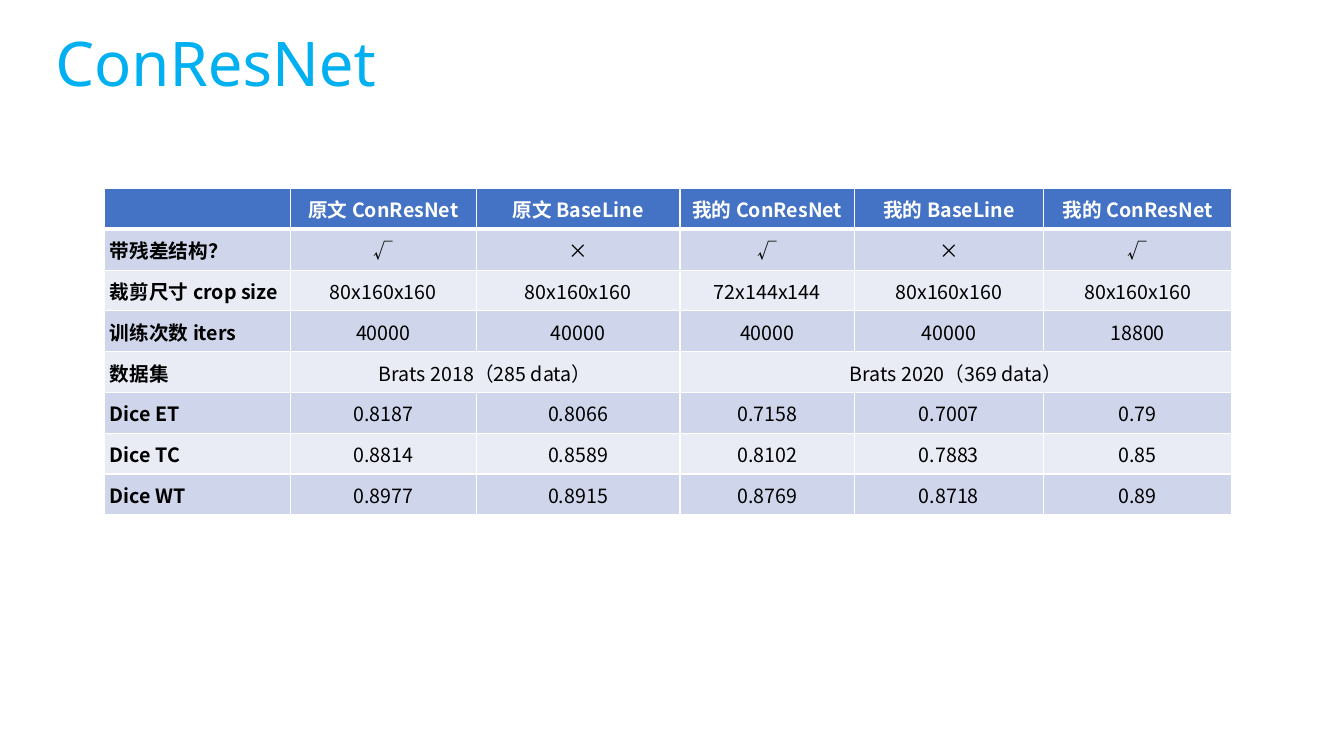
from dataclasses import dataclass

from lxml import etree
from pptx import Presentation
from pptx.dml.color import RGBColor
from pptx.enum import text
from pptx.oxml import ns
from pptx.util import Inches, Pt


@dataclass(frozen=True)
class Theme:
    """Colours, fonts and type sizes of the slide."""
    title: str = "00B0F0"
    header: str = "4472C4"
    bands: tuple = ("CFD5EA", "E9EBF5")
    white: str = "FFFFFF"
    ink: str = "000000"
    title_font: str = "Noto Sans"
    table_font: str = "Noto Sans CJK SC"
    title_size: int = 44
    table_size: int = 14
    rule: int = 1
    header_rule: int = 3


THEME = Theme()
COLUMN_WIDTHS = (1.84, 1.84, 2.02, 1.73, 1.87, 1.87)
RESULTS = (
    ("", "原文 ConResNet", "原文 BaseLine", "我的 ConResNet", "我的 BaseLine", "我的 ConResNet"),
    ("带残差结构？", "√", "×", "√", "×", "√"),
    ("裁剪尺寸 crop size", "80x160x160", "80x160x160", "72x144x144", "80x160x160", "80x160x160"),
    ("训练次数 iters", "40000", "40000", "40000", "40000", "18800"),
    ("数据集", "Brats 2018（285 data）", None, "Brats 2020（369 data）", None, None),
    ("Dice ET", "0.8187", "0.8066", "0.7158", "0.7007", "0.79"),
    ("Dice TC", "0.8814", "0.8589", "0.8102", "0.7883", "0.85"),
    ("Dice WT", "0.8977", "0.8915", "0.8769", "0.8718", "0.89"),
)


def add_run(paragraph, wording, font, size, color, bold=False):
    """Add one run with the same font for Latin and East Asian text."""
    run = paragraph.add_run()
    run.text = wording
    run.font.name = font
    run.font.size = Pt(size)
    run.font.bold = bold
    run.font.color.rgb = RGBColor.from_string(color)
    east_asian = etree.SubElement(run.font._element, ns.qn("a:ea"))
    east_asian.set("typeface", font)


def add_title(slide, box, wording):
    """Place the slide title in the given box."""
    frame = slide.shapes.add_textbox(*map(Inches, box)).text_frame
    frame.word_wrap = True
    frame.vertical_anchor = text.MSO_ANCHOR.MIDDLE
    paragraph = frame.paragraphs[0]
    paragraph.line_spacing = 0.9
    add_run(paragraph, wording, THEME.title_font, THEME.title_size, THEME.title)


def set_borders(cell, top, bottom):
    """Draw white borders around a cell, with widths in points."""
    properties = cell._tc.get_or_add_tcPr()
    sides = {"L": THEME.rule, "R": THEME.rule, "T": top, "B": bottom}
    for position, (side, width) in enumerate(sides.items()):
        line = etree.Element(ns.qn(f"a:ln{side}"), w=str(Pt(width)))
        fill = etree.SubElement(line, ns.qn("a:solidFill"))
        etree.SubElement(fill, ns.qn("a:srgbClr"), val=THEME.white)
        properties.insert(position, line)


def style_cell(cell, row, column):
    """Set the fill, borders and margins that the cell's place calls for."""
    color = THEME.bands[(row - 1) % 2] if row else THEME.header
    cell.fill.solid()
    cell.fill.fore_color.rgb = RGBColor.from_string(color)
    cell.vertical_anchor = text.MSO_ANCHOR.MIDDLE
    cell.margin_left = Inches(0.01 if column else 0.05)
    cell.margin_top = cell.margin_right = Inches(0.01)
    cell.margin_bottom = 0
    set_borders(cell,
                top=THEME.header_rule if row == 1 else THEME.rule,
                bottom=THEME.header_rule if row == 0 else THEME.rule)


def add_results_table(slide, box, rows, widths):
    """Place the results table; None extends the cell to its left."""
    left, top, width, height = box
    table = slide.shapes.add_table(len(rows), len(widths), *map(Inches, box)).table
    for column, share in zip(table.columns, widths):
        column.width = Inches(width * share / sum(widths))
    for table_row in table.rows:
        table_row.height = Inches(height / len(rows))
    for row, values in enumerate(rows):
        for column, value in enumerate(values):
            cell = table.cell(row, column)
            style_cell(cell, row, column)
            if value is None:
                continue
            last = column
            while last + 1 < len(values) and values[last + 1] is None:
                last += 1
            if last > column:
                cell.merge(table.cell(row, last))
            paragraph = cell.text_frame.paragraphs[0]
            if column:
                paragraph.alignment = text.PP_ALIGN.CENTER
            if value:
                add_run(paragraph, value, THEME.table_font, THEME.table_size,
                        THEME.ink if row else THEME.white, row == 0 or column == 0)


def main():
    """Build and save the presentation."""
    presentation = Presentation()
    presentation.slide_width = Inches(13.33)
    presentation.slide_height = Inches(7.5)
    slide = presentation.slides.add_slide(presentation.slide_layouts[6])
    add_title(slide, (0.45, 0.19, 4.24, 0.94), "ConResNet")
    add_results_table(slide, (1.04, 1.87, 11.18, 3.24), RESULTS, COLUMN_WIDTHS)
    presentation.save("out.pptx")


main()
